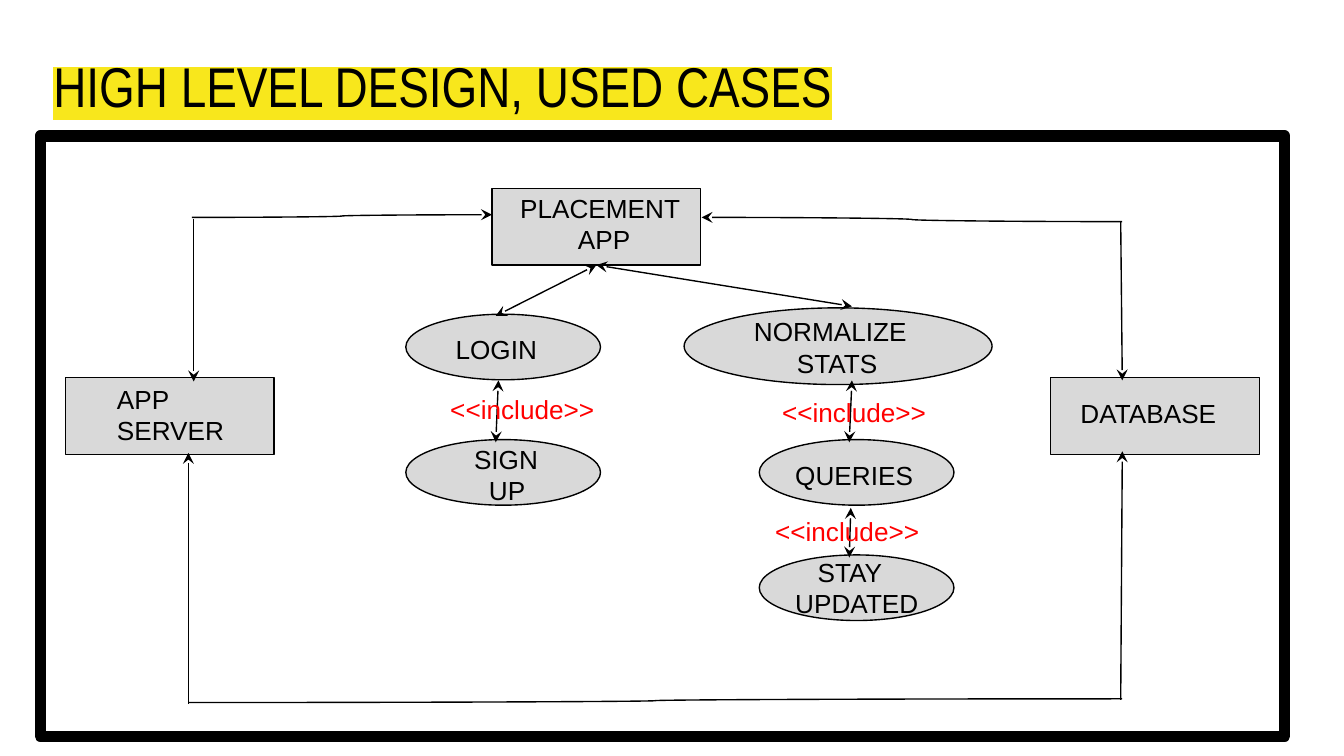
"""Build the high-level design slide: a use-case diagram of the placement app."""
from dataclasses import dataclass
from typing import NamedTuple

from lxml.etree import SubElement
from pptx import Presentation
from pptx.dml.color import RGBColor
from pptx.enum.shapes import MSO_CONNECTOR, MSO_SHAPE
from pptx.enum.text import MSO_ANCHOR
from pptx.oxml.ns import qn
from pptx.util import Cm, Pt


@dataclass(frozen=True)
class Theme:
    ink: str = "000000"
    node: str = "D9D9D9"
    include: str = "FF0000"
    highlight: str = "F8E71C"
    title_font: str = "Arial Narrow"
    body_font: str = "Arial"
    title_size: float = 30
    body_size: float = 14
    hairline: float = 0.75
    frame_line: float = 6
    inset: float = 0.25


class Box(NamedTuple):
    left: float
    top: float
    width: float
    height: float


class Line(NamedTuple):
    text: str
    indent: float = 0


class Node(NamedTuple):
    name: str
    preset: MSO_SHAPE
    box: Box
    label_box: Box
    lines: tuple[Line, ...]


class Include(NamedTuple):
    box: Box
    anchor: MSO_ANCHOR


class Link(NamedTuple):
    start: tuple[float, float]
    end: tuple[float, float]
    head: bool = True
    tail: bool = False
    kind: MSO_CONNECTOR = MSO_CONNECTOR.STRAIGHT
    end_node: str = ""


THEME = Theme()
RECT, OVAL = MSO_SHAPE.RECTANGLE, MSO_SHAPE.OVAL
CURVE = MSO_CONNECTOR.CURVE
BOTTOM_SIDE = 2
BLOCK = (3.94, 1.45)
CASE = (3.68, 1.24)

NODES = (
    Node("placement", RECT, Box(9.3, 3.56, *BLOCK), Box(9.58, 3.38, 3.68, 0.53),
         (Line("PLACEMENT"), Line("APP", 31))),
    Node("server", RECT, Box(1.24, 7.14, *BLOCK), Box(1.96, 6.99, 3.38, 0.53),
         (Line("APP SERVER"),)),
    Node("database", RECT, Box(19.86, 7.14, *BLOCK), Box(20.17, 7.26, 3.38, 0.53),
         (Line("DATABASE"),)),
    Node("login", OVAL, Box(7.67, 5.94, *CASE), Box(8.36, 6.05, 2.29, 0.53),
         (Line("LOGIN"),)),
    Node("sign up", OVAL, Box(7.67, 8.31, *CASE), Box(8.71, 8.13, 2.29, 0.53),
         (Line("SIGN"), Line("UP", 8))),
    Node("normalize", OVAL, Box(12.93, 5.82, 5.82, 1.45), Box(14, 5.72, 4.17, 0.84),
         (Line("NORMALIZE"), Line("STATS", 23))),
    Node("queries", OVAL, Box(14.35, 8.31, *CASE), Box(14.78, 8.43, 2.97, 0.79),
         (Line("QUERIES"),)),
    Node("stay updated", OVAL, Box(14.35, 10.49, *CASE), Box(14.78, 10.26, 2.97, 0.53),
         (Line("STAY", 12), Line("UPDATED"))),
)

INCLUDES = (
    Include(Box(8.26, 7.19, 3.38, 0.79), MSO_ANCHOR.TOP),
    Include(Box(14.53, 7.37, 3.51, 0.84), MSO_ANCHOR.MIDDLE),
    Include(Box(14.4, 9.78, 3.38, 0.53), MSO_ANCHOR.MIDDLE),
)

LINKS = (
    Link((9.37, 5.97), (11.27, 5.01), tail=True, end_node="placement"),
    Link((16.1, 5.79), (11.27, 5.01), tail=True, end_node="placement"),
    Link((9.42, 7.19), (9.37, 8.36), tail=True),
    Link((16.1, 7.19), (16.05, 8.36), tail=True),
    Link((16.08, 9.6), (16.05, 10.54), tail=True),
    Link((3.66, 7.21), (3.66, 4.14)),
    Link((21.21, 7.19), (21.18, 4.19)),
    Link((9.3, 4.06), (3.63, 4.11), kind=CURVE),
    Link((13.26, 4.11), (21.21, 4.19), kind=CURVE),
    Link((21.21, 13.21), (3.56, 13.28), head=False, kind=CURVE),
    Link((3.56, 8.56), (3.56, 13.31)),
    Link((21.21, 8.53), (21.18, 13.23)),
)


def add_text(slide, box: Box, lines: tuple[Line, ...], *, font: str = THEME.body_font,
             size: float = THEME.body_size, color: str = THEME.ink, highlight: str = "",
             anchor: MSO_ANCHOR = MSO_ANCHOR.TOP, top_inset: float = THEME.inset) -> None:
    """Write lines of text in a wrapped box."""
    frame = slide.shapes.add_textbox(*map(Cm, box)).text_frame
    frame.word_wrap = True
    frame.vertical_anchor = anchor
    frame.margin_left = frame.margin_right = frame.margin_bottom = Cm(THEME.inset)
    frame.margin_top = Cm(top_inset)
    for index, line in enumerate(lines):
        paragraph = frame.add_paragraph() if index else frame.paragraphs[0]
        if line.indent:
            paragraph._p.get_or_add_pPr().set("marL", str(Pt(line.indent)))
        run = paragraph.add_run()
        run.text = line.text
        run.font.name = font
        run.font.size = Pt(size)
        run.font.color.rgb = RGBColor.from_string(color)
        if highlight:
            properties = run._r.get_or_add_rPr()
            marker = SubElement(properties, qn("a:highlight"))
            SubElement(marker, qn("a:srgbClr")).set("val", highlight)
            properties.find(qn("a:solidFill")).addnext(marker)


def add_outline(slide, preset: MSO_SHAPE, box: Box, *, fill: str = "",
                line_width: float = THEME.hairline):
    """Draw a preset shape with a dark outline and an optional fill."""
    outline = slide.shapes.add_shape(preset, *map(Cm, box))
    outline.shadow.inherit = False
    if fill:
        outline.fill.solid()
        outline.fill.fore_color.rgb = RGBColor.from_string(fill)
    else:
        outline.fill.background()
    outline.line.color.rgb = RGBColor.from_string(THEME.ink)
    outline.line.width = Pt(line_width)
    SubElement(outline.line._get_or_add_ln(), qn("a:round"))
    return outline


def add_link(slide, link: Link, nodes: dict) -> None:
    """Draw a connector with the arrowheads its link asks for."""
    connector = slide.shapes.add_connector(link.kind, *map(Cm, link.start + link.end))
    if link.end_node:
        connector.end_connect(nodes[link.end_node], BOTTOM_SIDE)
    connector.line.color.rgb = RGBColor.from_string(THEME.ink)
    connector.line.width = Pt(THEME.hairline)
    stroke = connector.line._get_or_add_ln()
    for tag, wanted in (("a:headEnd", link.head), ("a:tailEnd", link.tail)):
        if wanted:
            SubElement(stroke, qn(tag)).set("type", "stealth")
    SubElement(connector._element.spPr, qn("a:effectLst"))


def main() -> None:
    """Assemble and save the slide."""
    deck = Presentation()
    deck.slide_width, deck.slide_height = Cm(25.4), Cm(14.29)
    slide = deck.slides.add_slide(deck.slide_layouts[6])
    add_text(slide, Box(0.76, 0.43, 23.67, 1.6), (Line("HIGH LEVEL DESIGN, USED CASES"),),
             font=THEME.title_font, size=THEME.title_size, highlight=THEME.highlight,
             top_inset=0.55)
    nodes = {}
    for node in NODES:
        nodes[node.name] = add_outline(slide, node.preset, node.box, fill=THEME.node)
        add_text(slide, node.label_box, node.lines)
    for link in LINKS:
        add_link(slide, link, nodes)
    for include in INCLUDES:
        add_text(slide, include.box, (Line("<<include>>"),), color=THEME.include,
                 anchor=include.anchor)
    add_outline(slide, RECT, Box(0.76, 2.57, 23.52, 11.35), line_width=THEME.frame_line)
    deck.save("out.pptx")


if __name__ == "__main__":
    main()
